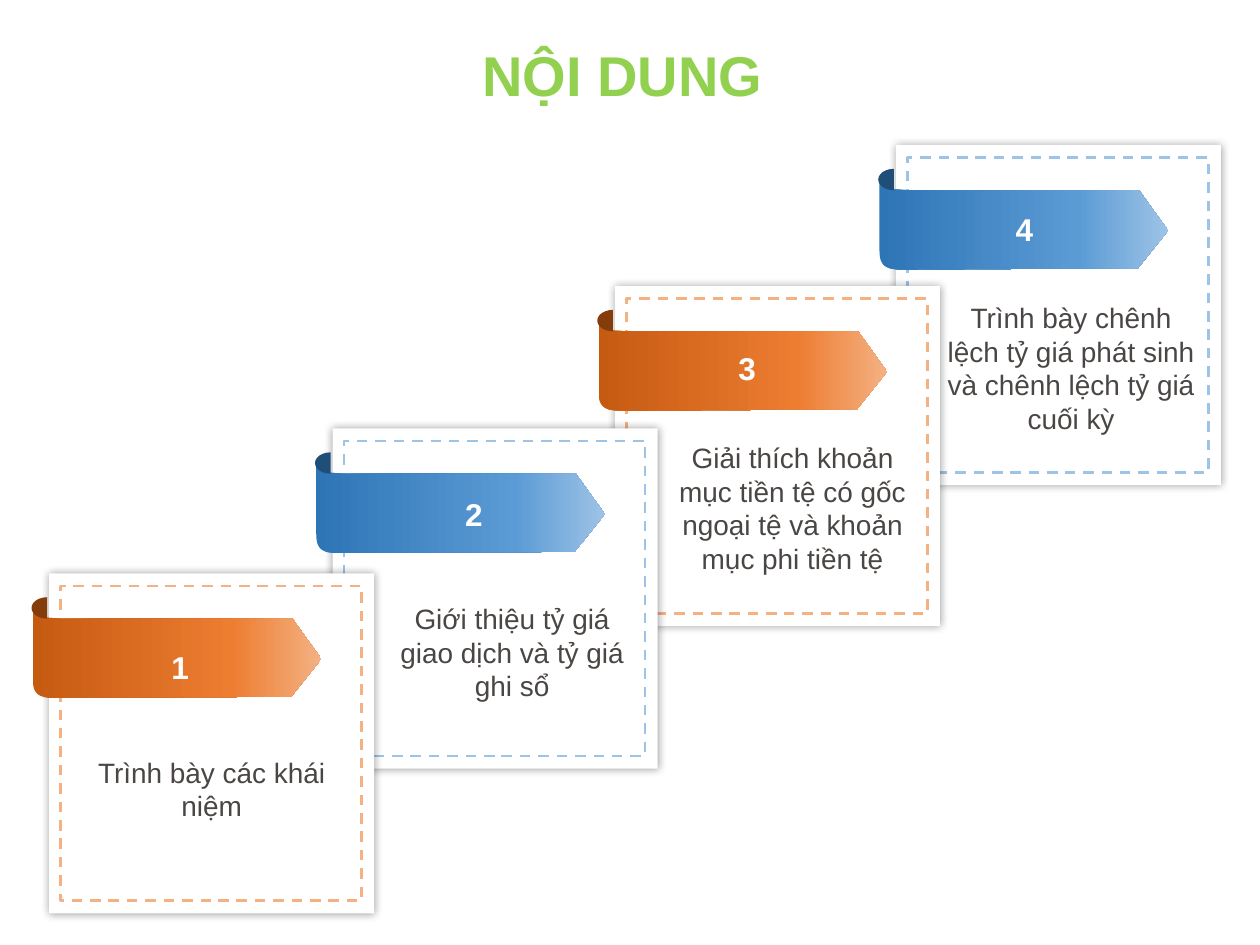
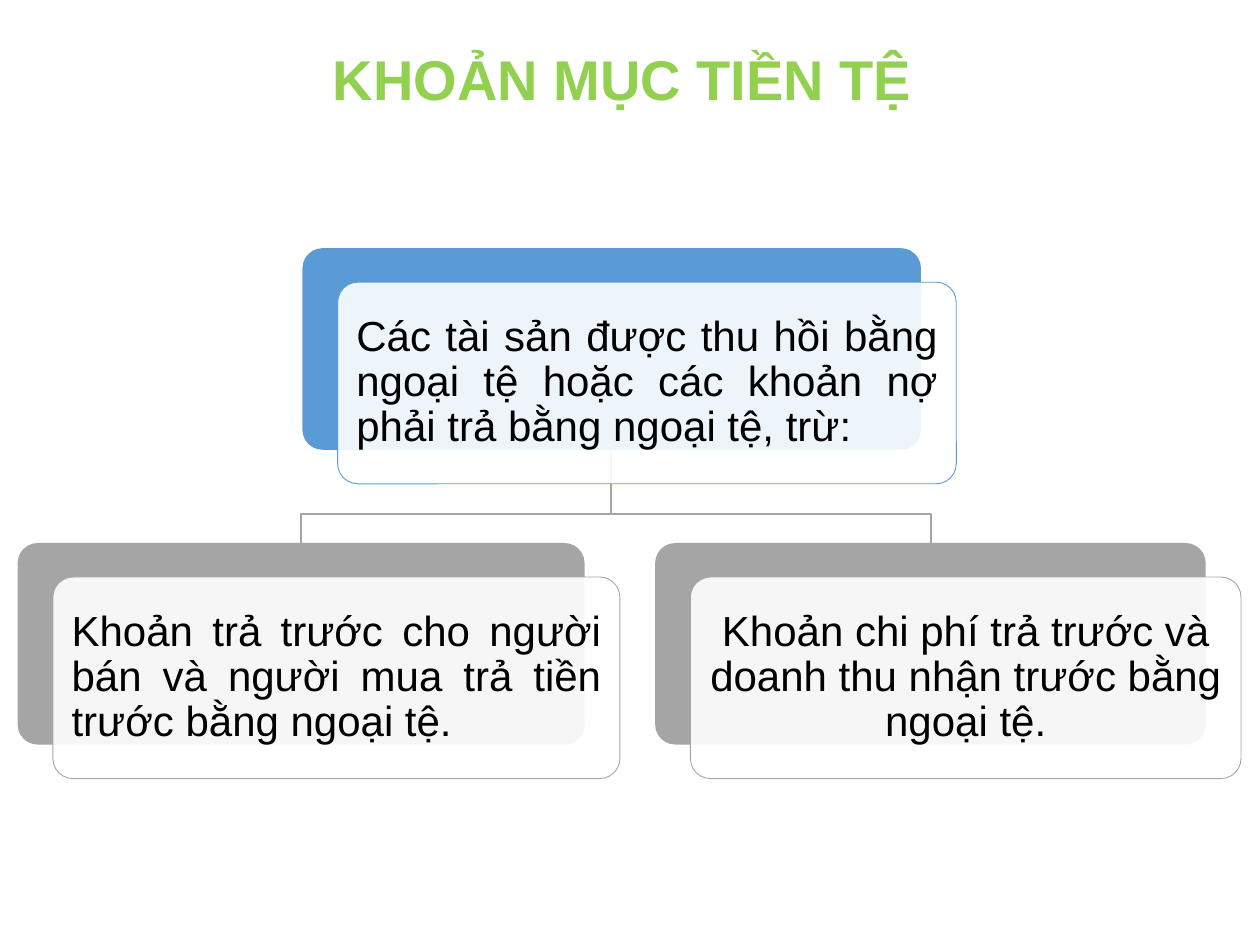
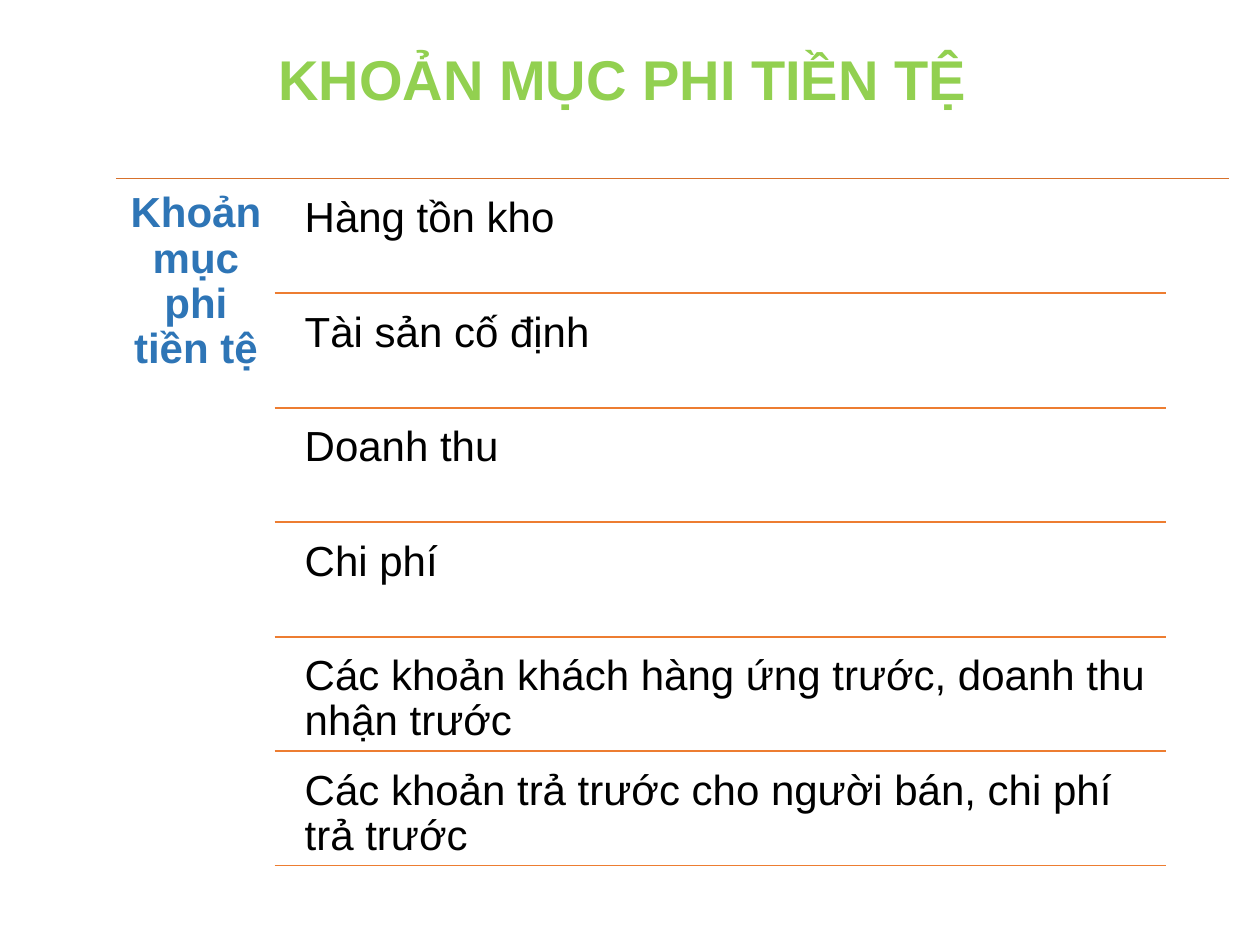
from copy import deepcopy
from dataclasses import dataclass

from lxml.etree import SubElement
from pptx import Presentation
from pptx.dml.color import RGBColor
from pptx.enum.dml import MSO_LINE
from pptx.enum.shapes import MSO_CONNECTOR, MSO_SHAPE
from pptx.enum.text import MSO_ANCHOR, MSO_AUTO_SIZE, PP_ALIGN
from pptx.oxml.ns import qn
from pptx.util import Inches, Pt

FONT = "Arial"
GREEN, WHITE, BLACK = "92D050", "FFFFFF", "000000"
CAPTION_GRAY, NODE_GRAY = "4A4644", "A5A5A5"
BLUE, DARK_BLUE = "5B9BD5", "2E75B6"
ORANGE, RULE_ORANGE = "ED7D31", "D7712C"

TITLE_CENTER, TITLE_HEIGHT = 4.94, 0.64
CARD_WIDTH, CARD_HEIGHT = 2.58, 2.7
NODE_HEIGHT, NODE_SHIFT, NODE_PADDING = 1.6, 0.27, 0.05

Point = tuple[float, float]


@dataclass(frozen=True)
class Palette:
    ribbon: tuple[str, str, str]
    dash: str
    curl: str


@dataclass(frozen=True)
class Card:
    number: str
    caption: str
    left: float
    top: float
    number_at: Point
    caption_box: tuple[float, float, float, float]
    palette: Palette


@dataclass(frozen=True)
class Node:
    text: str
    left: float
    top: float
    width: float
    color: str
    align: PP_ALIGN


BLUES = Palette((DARK_BLUE, BLUE, "9DC3E6"), "9DC3E6", "1F4E79")
ORANGES = Palette(("C55A11", ORANGE, "F4B183"), "F4B183", "843C0B")

CARDS = [
    Card("1", "Trình bày các khái niệm", 0.39, 4.55,
         (1.26, 5.09), (0.57, 5.94, 2.22, 0.64), ORANGES),
    Card("2", "Giới thiệu tỷ giá giao dịch và tỷ giá ghi sổ", 2.64, 3.4,
         (3.59, 3.88), (2.98, 4.72, 2.17, 0.91), BLUES),
    Card("3", "Giải thích khoản mục tiền tệ có gốc ngoại tệ và khoản mục phi tiền tệ",
         4.88, 2.27, (5.76, 2.72), (5.18, 3.44, 2.22, 1.18), ORANGES),
    Card("4", "Trình bày chênh lệch tỷ giá phát sinh và chênh lệch tỷ giá cuối kỳ",
         7.11, 1.15, (7.96, 1.62), (7.39, 2.33, 2.22, 1.18), BLUES),
]

NODES = [
    Node("Các tài sản được thu hồi bằng ngoại tệ hoặc các khoản nợ phải trả "
         "bằng ngoại tệ, trừ:", 2.4, 1.97, 4.91, BLUE, PP_ALIGN.JUSTIFY),
    Node("Khoản trả trước cho người bán và người mua trả tiền trước bằng ngoại tệ.",
         0.14, 4.31, 4.5, NODE_GRAY, PP_ALIGN.JUSTIFY),
    Node("Khoản chi phí trả trước và doanh thu nhận trước bằng ngoại tệ.",
         5.2, 4.31, 4.37, NODE_GRAY, PP_ALIGN.CENTER),
]

NON_MONETARY_ITEMS = [
    "Hàng tồn kho",
    "Tài sản cố định",
    "Doanh thu",
    "Chi phí",
    "Các khoản khách hàng ứng trước, doanh thu nhận trước",
    "Các khoản trả trước cho người bán, chi phí trả trước",
]


def rgb(color: str) -> RGBColor:
    return RGBColor.from_string(color)


def add_text(page, text: str, left: float, top: float, width: float, height: float,
             size: int, color: str, bold: bool = False, wrap: bool = True,
             align: PP_ALIGN = PP_ALIGN.CENTER, anchor: MSO_ANCHOR = MSO_ANCHOR.MIDDLE):
    box = page.shapes.add_textbox(Inches(left), Inches(top), Inches(width), Inches(height))
    frame = box.text_frame
    frame.word_wrap = wrap
    frame.vertical_anchor = anchor
    paragraph = frame.paragraphs[0]
    paragraph.text = text
    paragraph.alignment = align
    font = paragraph.font
    font.name, font.size, font.bold = FONT, Pt(size), bold
    font.color.rgb = rgb(color)
    return box


def add_fitted_text(page, *args, **options) -> None:
    """Add text in a box that grows with it."""
    box = add_text(page, *args, **options)
    box.text_frame.auto_size = MSO_AUTO_SIZE.SHAPE_TO_FIT_TEXT


def add_body_text(page, *args, **options) -> None:
    """Add 24 point text with tight lines and equal insets."""
    frame = add_text(page, *args, size=24, **options).text_frame
    frame.margin_top = frame.margin_bottom = Inches(0.1)
    frame.paragraphs[0].line_spacing = 0.9


def add_title(page, text: str, width: float, top: float = 0.3) -> None:
    add_fitted_text(page, text, TITLE_CENTER - width / 2, top, width, TITLE_HEIGHT,
                    32, GREEN, bold=True, wrap=False)


def style(shape, fill: str | None = None, line: str | None = None, weight: float = 1) -> None:
    shape.shadow.inherit = False
    if fill:
        shape.fill.solid()
        shape.fill.fore_color.rgb = rgb(fill)
    else:
        shape.fill.background()
    if line:
        shape.line.color.rgb = rgb(line)
        shape.line.width = Pt(weight)
    else:
        shape.line.fill.background()


def add_shape(page, kind: MSO_SHAPE, left: float, top: float, width: float, height: float,
              **look):
    shape = page.shapes.add_shape(kind, Inches(left), Inches(top), Inches(width), Inches(height))
    style(shape, **look)
    return shape


def add_outline(page, points: list[Point], close: bool):
    vertices = [(Inches(x), Inches(y)) for x, y in points]
    builder = page.shapes.build_freeform(*vertices[0], scale=1.0)
    builder.add_line_segments(vertices[1:], close=close)
    return builder.convert_to_shape()


def add_rule(page, left: float, right: float, y: float, color: str, weight: float) -> None:
    rule = page.shapes.add_connector(MSO_CONNECTOR.STRAIGHT, Inches(left), Inches(y),
                                     Inches(right), Inches(y))
    rule.line.color.rgb = rgb(color)
    rule.line.width = Pt(weight)
    SubElement(rule._element.spPr, qn("a:effectLst"))


def add_glow_shadow(shape, blur: float, opacity: int) -> None:
    """Put a black shadow evenly round the shape."""
    effects = shape._element.spPr.find(qn("a:effectLst"))
    shadow = SubElement(effects, qn("a:outerShdw"), blurRad=str(Pt(blur)), dist="0", dir="0",
                        algn="ctr", rotWithShape="0")
    color = SubElement(shadow, qn("a:srgbClr"), val=BLACK)
    SubElement(color, qn("a:alpha"), val=str(opacity * 1000))


def set_opacity(shape, percent: int) -> None:
    color = shape._element.spPr.find(qn("a:solidFill")).find(qn("a:srgbClr"))
    SubElement(color, qn("a:alpha"), val=str(percent * 1000))


def set_gradient(shape, colors: tuple[str, str, str]) -> None:
    shape.fill.gradient()
    shape.fill.gradient_angle = 0
    stop_list = shape._element.spPr.find(qn("a:gradFill")).find(qn("a:gsLst"))
    stop_list.append(deepcopy(stop_list[0]))
    for stop, color, position in zip(shape.fill.gradient_stops, colors, (0, 0.69, 1)):
        stop.color.rgb = rgb(color)
        stop.position = position


def curve(*controls: Point, steps: int = 12) -> list[Point]:
    """Return points along a cubic Bezier curve, without its start."""
    points = []
    for step in range(1, steps + 1):
        t = step / steps
        weights = ((1 - t) ** 3, 3 * t * (1 - t) ** 2, 3 * t * t * (1 - t), t ** 3)
        points.append(tuple(sum(w * control[axis] for w, control in zip(weights, controls))
                            for axis in (0, 1)))
    return points


RIBBON = [
    (0.01, 0.99), (1.92, 0.98), (2.16, 0.68), (1.93, 0.36), (0.09, 0.36),
    *curve((0.09, 0.36), (0.01, 0.35), (-0.11, 0.37), (-0.13, 0.25)),
    (-0.13, 0.84),
    *curve((-0.13, 0.84), (-0.13, 0.97), (-0.07, 0.98), (0.01, 0.99)),
]


def draw_card(page, card: Card) -> None:
    left, top, palette = card.left, card.top, card.palette
    paper = add_shape(page, MSO_SHAPE.RECTANGLE, left, top, CARD_WIDTH, CARD_HEIGHT, fill=WHITE)
    add_glow_shadow(paper, blur=5, opacity=40)
    border = add_shape(page, MSO_SHAPE.RECTANGLE, left + 0.09, top + 0.1,
                       CARD_WIDTH - 0.19, CARD_HEIGHT - 0.2, line=palette.dash, weight=1.5)
    border.line.dash_style = MSO_LINE.DASH
    ribbon = add_outline(page, [(left + x, top + y) for x, y in RIBBON], close=True)
    style(ribbon)
    set_gradient(ribbon, palette.ribbon)
    curl = add_shape(page, MSO_SHAPE.PIE, left - 0.14, top + 0.19, 0.25, 0.17, fill=palette.curl)
    curl.adjustments[0], curl.adjustments[1] = 54, 162


def label_card(page, card: Card) -> None:
    add_fitted_text(page, card.number, *card.number_at, 0.34, 0.4, 18, WHITE,
                    bold=True, wrap=False)
    add_fitted_text(page, card.caption, *card.caption_box, 16, CAPTION_GRAY)


def draw_branch(page, start_x: float, end_x: float) -> None:
    points = [(start_x, 3.58), (start_x, 4.08), (end_x, 4.08), (end_x, 4.31)]
    style(add_outline(page, points, close=False), line=NODE_GRAY)


def draw_node(page, node: Node) -> None:
    back = add_shape(page, MSO_SHAPE.ROUNDED_RECTANGLE, node.left, node.top,
                     node.width, NODE_HEIGHT, fill=node.color)
    left, top = node.left + NODE_SHIFT + 0.01, node.top + NODE_SHIFT
    front = add_shape(page, MSO_SHAPE.ROUNDED_RECTANGLE, left, top, node.width, NODE_HEIGHT,
                      fill=WHITE, line=node.color, weight=0.5)
    set_opacity(front, 90)
    for panel in (back, front):
        panel.adjustments[0] = 0.1
    add_body_text(page, node.text, left + NODE_PADDING, top + NODE_PADDING,
                  node.width - 2 * NODE_PADDING, NODE_HEIGHT - 2 * NODE_PADDING,
                  color=BLACK, align=node.align)


def build_contents(page) -> None:
    add_title(page, "NỘI DUNG", 2.45, top=0.27)
    for card in reversed(CARDS):
        draw_card(page, card)
    for card in CARDS:
        label_card(page, card)


def build_monetary(page) -> None:
    for end_x in (7.39, 2.39):
        draw_branch(page, 4.85, end_x)
    for node in NODES:
        draw_node(page, node)
    add_title(page, "KHOẢN MỤC TIỀN TỆ", 4.84)


def build_non_monetary(page) -> None:
    list_top, list_height = 1.42, 5.45
    row_height = list_height / len(NON_MONETARY_ITEMS)
    add_rule(page, 0.92, 9.75, list_top, RULE_ORANGE, 0.5)
    add_body_text(page, "Khoản mục phi tiền tệ", 0.92, list_top, 1.27, list_height,
                  color=DARK_BLUE, bold=True, anchor=MSO_ANCHOR.TOP)
    for index, item in enumerate(NON_MONETARY_ITEMS):
        row_top = list_top + index * row_height
        add_body_text(page, item, 2.32, row_top + 0.04, 6.93, row_height - 0.04,
                      color=BLACK, align=PP_ALIGN.LEFT, anchor=MSO_ANCHOR.TOP)
        add_rule(page, 2.18, 9.25, row_top + row_height, ORANGE, 1)
    add_title(page, "KHOẢN MỤC PHI TIỀN TỆ", 5.71)


def main() -> None:
    deck = Presentation()
    deck.slide_width, deck.slide_height = Inches(10), Inches(7.5)
    blank = deck.slide_layouts[6]
    for build in (build_contents, build_monetary, build_non_monetary):
        build(deck.slides.add_slide(blank))
    deck.save("out.pptx")


if __name__ == "__main__":
    main()
